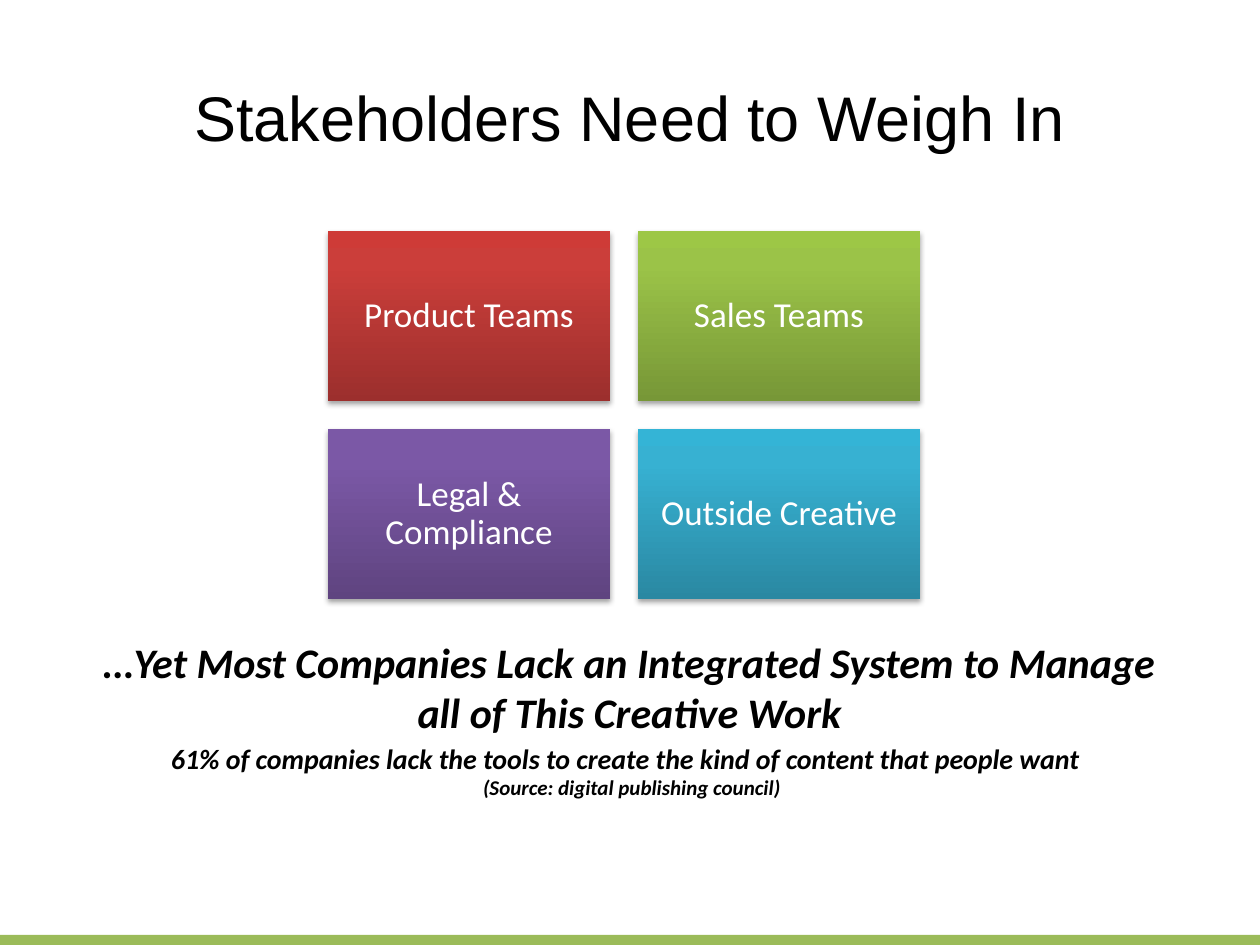
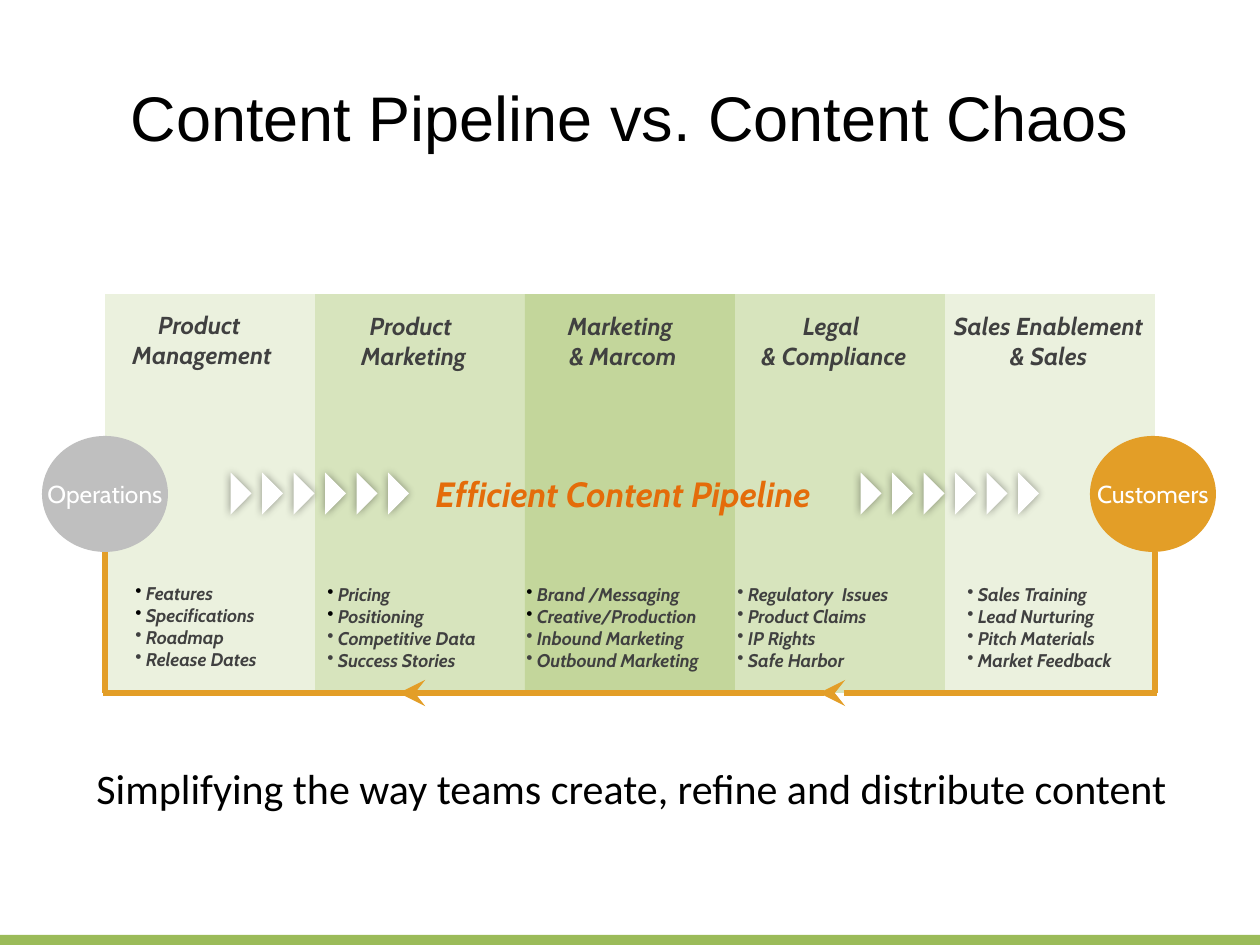
import pptx
import pptx.util
import pptx.dml.color
import pptx.enum.shapes
import pptx.enum.text
from lxml import etree
from pptx.oxml.ns import qn

SHAPE = pptx.enum.shapes.MSO_SHAPE
ALIGN = pptx.enum.text.PP_ALIGN
ANCHOR = pptx.enum.text.MSO_ANCHOR
AUTO_SIZE = pptx.enum.text.MSO_AUTO_SIZE

BLACK, WHITE, GREY_TEXT = "000000", "FFFFFF", "404040"
BAND_GREEN, AMBER, LIGHT_GREY, ORANGE = "9BBB59", "E39E27", "BFBFBF", "E46C0A"

TITLE = {"name": "Arial", "size": 36, "color": BLACK}
CARD = {"name": "Calibri", "size": 20, "color": WHITE}
CLAIM = {"name": "Calibri", "size": 24, "color": BLACK, "bold": True, "italic": True}
FACT = {**CLAIM, "size": 16}
SOURCE = {**CLAIM, "size": 12}
TAGLINE = {"name": "Calibri", "size": 24, "color": BLACK}
HEADING = {"name": "Cabin", "size": 14, "color": GREY_TEXT, "bold": True, "italic": True}
TASK = {**HEADING, "size": 10.5}
END_LABEL = {"name": "Cabin", "size": 14, "color": WHITE}
PIPELINE = {**HEADING, "size": 20, "color": ORANGE}

# Each card: label and gradient from bottom to top
STAKEHOLDERS = [
    ("Product Teams", ("9C2F2D", "CB3E3A", "CE3B37")),
    ("Sales Teams", ("779737", "9BC348", "9DC746")),
    ("Legal & Compliance", ("5F4480", "7B58A6", "7C57A8")),
    ("Outside Creative", ("2A88A2", "37B1D2", "34B4D6")),
]
GRADIENT_STOPS = (0, 80, 100)

# Each stage: fill, heading, heading box (left, width),
# tasks, task box (left, width), number of black bullets
STAGES = [
    ("EBF1DE", ("Product ", "Management"), (118, 168),
     ("Features", "Specifications", "Roadmap", "Release Dates"), (123, 179), 2),
    ("D7E4BD", ("Product ", "Marketing"), (346, 135),
     ("Pricing", "Positioning", "Competitive Data", "Success Stories"), (315, 200), 2),
    ("C3D69B", ("Marketing ", "& Marcom"), (553, 140),
     ("Brand /Messaging", "Creative/Production", "Inbound Marketing",
      "Outbound Marketing"), (514, 231), 2),
    ("D7E4BD", ("Legal ", "& Compliance"), (745, 178),
     ("Regulatory  Issues", "Product Claims", "IP Rights", "Safe Harbor"), (725, 214), 0),
    ("EBF1DE", ("Sales Enablement", "& Sales"), (937, 223),
     ("Sales Training", "Lead Nurturing", "Pitch Materials", "Market Feedback"),
     (955, 199), 0),
]
ENDS = [("Operations", 42, LIGHT_GREY), ("Customers", 1090, AMBER)]
ARROW_GROUPS = (220, 850)
ARROWS_PER_GROUP = 6

# Feedback loop: start, end, arrowhead at the start
LOOP_LINES = [
    ((105, 552), (105, 693), False),
    ((1155, 552), (1155, 693), False),
    ((819, 693), (1157, 693), True),
    ((399, 693), (824, 693), True),
    ((103, 693), (470, 693), False),
]


def px(value):
    return round(value * 914400 / 126)


def rgb(hex_color):
    return pptx.dml.color.RGBColor.from_string(hex_color)


def child(parent, tag, **attributes):
    """Append a drawing element such as a:gs to parent."""
    values = {key: str(value) for key, value in attributes.items()}
    return etree.SubElement(parent, qn(tag), values)


def add_run(paragraph, text, style):
    run = paragraph.add_run()
    run.text = text
    for key, value in style.items():
        if key == "color":
            run.font.color.rgb = rgb(value)
        else:
            setattr(run.font, key, pptx.util.Pt(value) if key == "size" else value)


def add_paragraph(frame, index):
    return frame.add_paragraph() if index else frame.paragraphs[0]


def add_text(slide, box, lines, align=ALIGN.CENTER, wrap=False, **frame_format):
    """Add a text box; lines are (text, style) pairs, one a paragraph."""
    frame = slide.shapes.add_textbox(*map(px, box)).text_frame
    settings = {"auto_size": AUTO_SIZE.SHAPE_TO_FIT_TEXT, "word_wrap": wrap, **frame_format}
    for key, value in settings.items():
        setattr(frame, key, value)
    for index, (text, style) in enumerate(lines):
        paragraph = add_paragraph(frame, index)
        paragraph.alignment = align
        add_run(paragraph, text, style)
    return frame


def add_shape(slide, kind, box, fill):
    shape = slide.shapes.add_shape(kind, *map(px, box))
    shape.shadow.inherit = False
    shape.line.fill.background()
    shape.fill.solid()
    shape.fill.fore_color.rgb = rgb(fill)
    return shape


def add_shadow(shape, opacity, blur, distance, angle):
    effects = shape._element.spPr.find(qn("a:effectLst"))
    shadow = child(effects, "a:outerShdw", blurRad=pptx.util.Pt(blur),
                   dist=pptx.util.Pt(distance), dir=angle * 60000, rotWithShape=0)
    color = child(shadow, "a:srgbClr", val=BLACK)
    child(color, "a:alpha", val=opacity * 1000)


def set_gradient(shape, colors):
    shape.fill.gradient()
    shape.fill.gradient_angle = 90
    stops = shape._element.spPr.find(qn("a:gradFill")).find(qn("a:gsLst"))
    for stop in list(stops):
        stops.remove(stop)
    for position, color in zip(GRADIENT_STOPS, colors):
        child(child(stops, "a:gs", pos=position * 1000), "a:srgbClr", val=color)


def label_shape(shape, text, style, wrap, inset):
    frame = shape.text_frame
    for side in ("left", "right", "top", "bottom"):
        setattr(frame, "margin_" + side, px(inset))
    frame.word_wrap = wrap
    frame.vertical_anchor = ANCHOR.MIDDLE
    paragraph = frame.paragraphs[0]
    paragraph.alignment = ALIGN.CENTER
    add_run(paragraph, text, style)
    return paragraph


def add_line(slide, start, end, arrow):
    line = slide.shapes.add_connector(
        pptx.enum.shapes.MSO_CONNECTOR.STRAIGHT, *map(px, start + end))
    line.line.color.rgb = rgb(AMBER)
    line.line.width = pptx.util.Pt(3)
    if arrow:
        child(line.line._get_or_add_ln(), "a:headEnd", type="stealth", w="lg", len="lg")
    child(line._element.spPr, "a:effectLst")


def add_tasks(slide, box, tasks, black_bullets):
    frame = add_text(slide, box, [], wrap=True)
    for index, task in enumerate(tasks):
        paragraph = add_paragraph(frame, index)
        bullet_color = BLACK if index < black_bullets else GREY_TEXT
        add_run(paragraph, " ", {**TASK, "color": bullet_color})
        add_run(paragraph, task, TASK)
        child(paragraph._p.get_or_add_pPr(), "a:buChar", char="•")


def start_slide(presentation, title):
    """Add a blank slide with the shared title and bottom band."""
    slide = presentation.slides.add_slide(presentation.slide_layouts[6])
    add_shape(slide, SHAPE.RECTANGLE, (0, 935, 1260, 10), BAND_GREEN)
    add_text(slide, (63, 37, 1134, 158), [(title, TITLE)], wrap=True,
             auto_size=AUTO_SIZE.NONE, vertical_anchor=ANCHOR.MIDDLE)
    return slide


def build_stakeholders(presentation):
    slide = start_slide(presentation, "Stakeholders Need to Weigh In")
    width, height, gap = 282, 170, 28
    for index, (label, colors) in enumerate(STAKEHOLDERS):
        row, column = divmod(index, 2)
        box = (328 + column * (width + gap), 231 + row * (height + gap), width, height)
        card = add_shape(slide, SHAPE.RECTANGLE, box, colors[0])
        set_gradient(card, colors)
        add_shadow(card, 35, 3.1, 1.8, 90)
        label_shape(card, label, CARD, wrap=True, inset=10).line_spacing = 0.9
    add_text(slide, (152, 735, 960, 115), [
        ("61% of companies lack the tools to create the kind of content that people want  ",
         FACT),
        ("(Source: digital publishing council)", SOURCE),
    ])
    add_text(slide, (72, 630, 1115, 158), [
        ("…Yet Most Companies Lack an Integrated System to Manage all of This Creative Work",
         CLAIM),
    ], wrap=True)


def build_pipeline(presentation):
    slide = start_slide(presentation, "Content Pipeline vs. Content Chaos")
    for index, stage in enumerate(STAGES):
        add_shape(slide, SHAPE.RECTANGLE, (105 + 210 * index, 294, 210, 399), stage[0])
    for index, stage in enumerate(STAGES):
        _, heading, (left, width), tasks, (task_left, task_width), black_bullets = stage
        rise = 1 if index == 0 else 0
        add_text(slide, (left, 305 - rise, width, 72), [(line, HEADING) for line in heading])
        add_tasks(slide, (task_left, 577 - rise, task_width, 102), tasks, black_bullets)
    for label, left, color in ENDS:
        circle = add_shape(slide, SHAPE.OVAL, (left, 436, 126, 116), color)
        label_shape(circle, label, END_LABEL, wrap=False, inset=0)
    for group_left in ARROW_GROUPS:
        for index in range(ARROWS_PER_GROUP):
            box = (group_left + 63 * index / 2, 483, 42, 21)
            arrow = add_shape(slide, SHAPE.ISOSCELES_TRIANGLE, box, WHITE)
            arrow.rotation = 90
            add_shadow(arrow, 40, 5, 0, 0)
    add_text(slide, (423, 466, 426, 55), [("Efficient Content Pipeline", PIPELINE)],
             align=ALIGN.LEFT)
    for start, end, arrow in LOOP_LINES:
        add_line(slide, start, end, arrow)
    add_text(slide, (84, 756, 1113, 63), [
        ("Simplifying the way teams create, refine and distribute content", TAGLINE),
    ], align=ALIGN.LEFT, wrap=True)


def main():
    presentation = pptx.Presentation()
    presentation.slide_width, presentation.slide_height = px(1260), px(945)
    build_stakeholders(presentation)
    build_pipeline(presentation)
    presentation.save("out.pptx")


if __name__ == "__main__":
    main()
